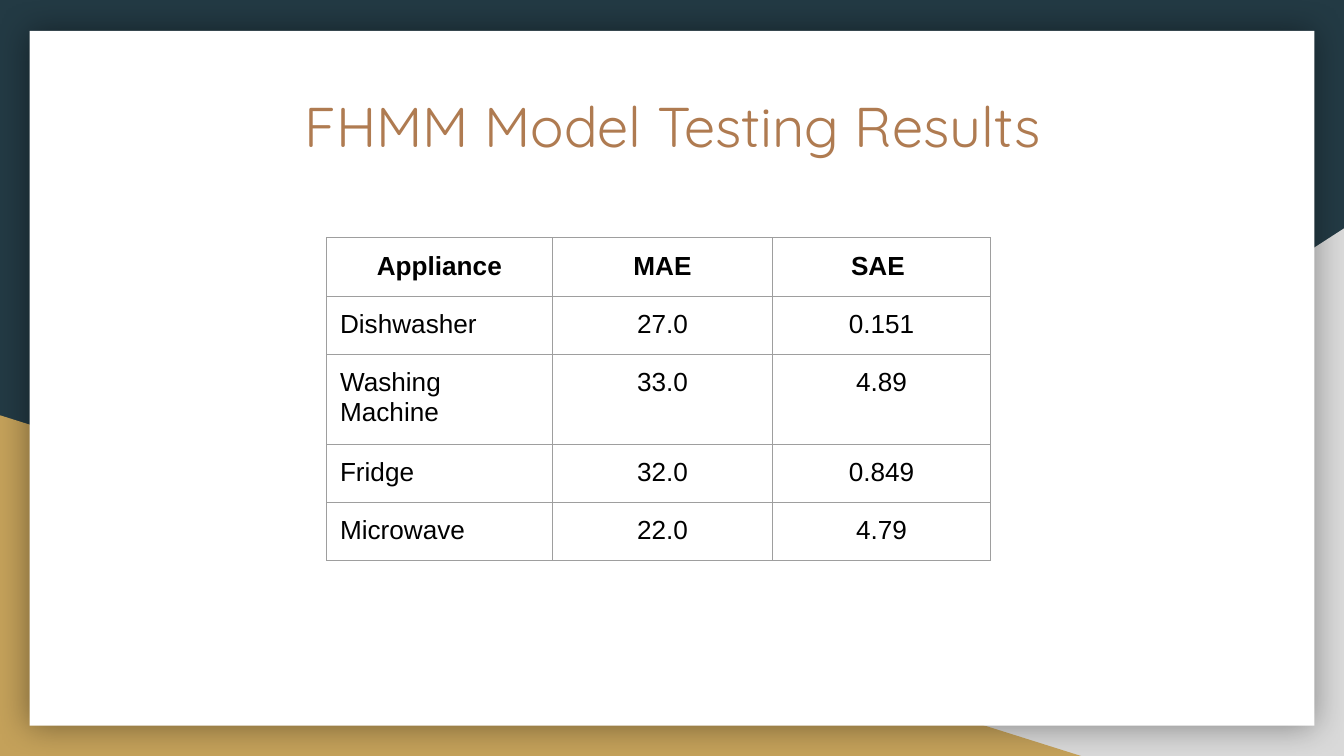
from lxml import etree
from pptx import Presentation
from pptx.dml.color import RGBColor
from pptx.enum.shapes import MSO_SHAPE
from pptx.enum.text import MSO_ANCHOR, PP_ALIGN
from pptx.oxml import parse_xml
from pptx.oxml.ns import nsdecls, qn
from pptx.util import Inches, Pt

# Content
TITLE = "FHMM Model Testing Results"
RESULTS = [
    ("Appliance", "MAE", "SAE "),
    ("Dishwasher", "27.0", "0.151"),
    ("Washing Machine", "33.0", "4.89"),
    ("Fridge", "32.0", "0.849"),
    ("Microwave", "22.0", "4.79"),
]
COLUMN_WIDTHS = [1.68, 1.64, 1.62]
ROW_HEIGHTS = [0.42, 0.43, 0.42, 0.42, 0.42]
BACKDROP = [  # preset shape, left, top, width, height, fill
    (MSO_SHAPE.RIGHT_TRIANGLE, 3.92, 1.7, 6.08, 3.93, "D9D9D9"),
    (MSO_SHAPE.RIGHT_TRIANGLE, 0, 3.09, 8.06, 2.54, "C4A15A"),
    (MSO_SHAPE.RECTANGLE, 0.22, 0.23, 9.56, 5.17, "FFFFFF"),
]
BORDER = "9E9E9E"


def rgb(color):
    return RGBColor.from_string(color)


def set_font(paragraph, name, size, color, bold=False):
    for run in paragraph.runs:
        run.font.name = name
        run.font.size = Pt(size)
        run.font.bold = bold
        run.font.color.rgb = rgb(color)


def add_borders(cell):
    properties = cell._tc.get_or_add_tcPr()
    for position, side in enumerate(("lnL", "lnR", "lnT", "lnB")):
        properties.insert(position, parse_xml(
            f'<a:{side} {nsdecls("a")} w="{Pt(0.75)}"><a:solidFill>'
            f'<a:srgbClr val="{BORDER}"/></a:solidFill></a:{side}>'))


# Widescreen 16:9 slide
prs = Presentation()
prs.slide_width = Inches(10)
prs.slide_height = prs.slide_width * 9 // 16
slide = prs.slides.add_slide(prs.slide_layouts[6])
slide.background.fill.solid()
slide.background.fill.fore_color.rgb = rgb("233A44")

# Corner triangles and white card
backdrop = []
for preset, left, top, width, height, color in BACKDROP:
    part = slide.shapes.add_shape(
        preset, Inches(left), Inches(top), Inches(width), Inches(height))
    part.fill.solid()
    part.fill.fore_color.rgb = rgb(color)
    part.line.fill.background()
    part.shadow.inherit = False
    backdrop.append(part)
gray_corner, gold_corner, card = backdrop
gray_corner._element.spPr.find(qn("a:xfrm")).set("flipH", "1")

# Soft shadow around the card
effects = card._element.spPr.find(qn("a:effectLst"))
glow = etree.SubElement(effects, qn("a:outerShdw"), blurRad=str(Pt(18)),
                        dist="0", dir="0", algn="ctr", rotWithShape="0")
shade = etree.SubElement(glow, qn("a:srgbClr"), val="000000")
etree.SubElement(shade, qn("a:alpha"), val="40000")

# Title
title = slide.shapes.add_textbox(
    Inches(0.9), Inches(0.58), Inches(8.21), Inches(1.04)).text_frame
title.word_wrap = True
title.vertical_anchor = MSO_ANCHOR.TOP
title.margin_left = title.margin_right = Inches(0.1)
title.margin_top = title.margin_bottom = Inches(0.1)
title.text = TITLE
title.paragraphs[0].alignment = PP_ALIGN.CENTER
set_font(title.paragraphs[0], "Quicksand", 30, "AF7B51")

# Results table
results = slide.shapes.add_table(
    len(RESULTS), len(COLUMN_WIDTHS), Inches(2.43), Inches(1.77),
    Inches(sum(COLUMN_WIDTHS)), Inches(sum(ROW_HEIGHTS))).table
results.horz_banding = False
for column, width in zip(results.columns, COLUMN_WIDTHS):
    column.width = Inches(width)
for r, (values, height) in enumerate(zip(RESULTS, ROW_HEIGHTS)):
    results.rows[r].height = Inches(height)
    for c, value in enumerate(values):
        cell = results.cell(r, c)
        cell.fill.background()
        cell.margin_left = cell.margin_right = Inches(0.1)
        cell.margin_top = cell.margin_bottom = Inches(0.1)
        add_borders(cell)
        cell.text_frame.text = value
        paragraph = cell.text_frame.paragraphs[0]
        is_name = r > 0 and c == 0
        paragraph.alignment = PP_ALIGN.LEFT if is_name else PP_ALIGN.CENTER
        set_font(paragraph, "Arial", 14, "000000", bold=r == 0)

prs.save("out.pptx")
